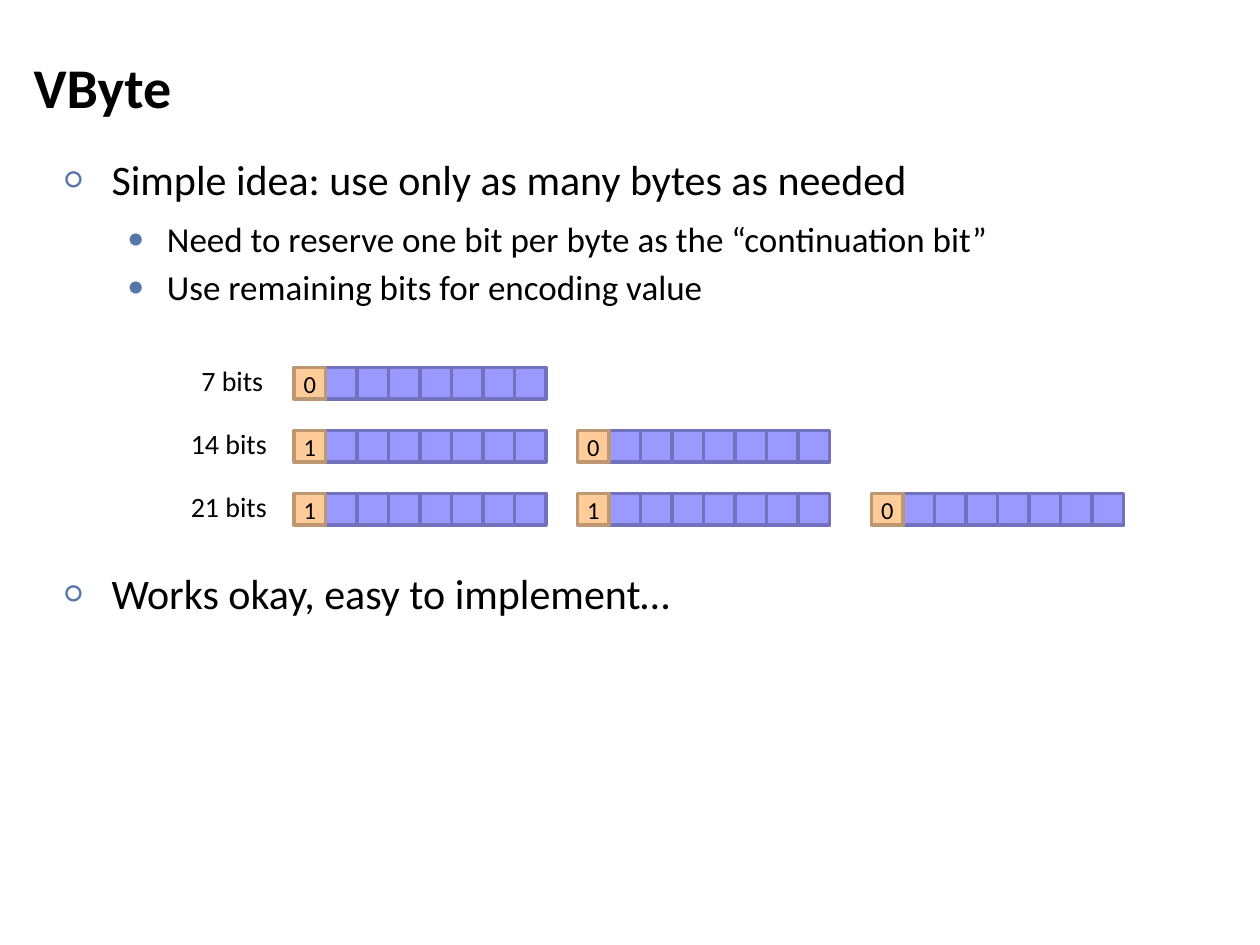
from lxml.etree import SubElement as Sub
from pptx import Presentation
from pptx.dml.color import RGBColor
from pptx.enum.shapes import MSO_SHAPE as Shape
from pptx.enum.text import MSO_ANCHOR as Anchor, PP_ALIGN as Align
from pptx.oxml.ns import qn
from pptx.util import Pt

CELL = 18
POINTS = [
    ("Simple idea: use only as many bytes as needed", 0, 0),
    ("Need to reserve one bit per byte as the “continuation bit”", 1, 7.5),
    ("Use remaining bits for encoding value", 1, 3.8),
    ("Works okay, easy to implement…", 0, 148.5),
]
LEVELS = [("○", 26.64, 24, 26.64), ("●", 58.32, 20, 22.32)]
CODES = [("7 bits", 108, "0"), ("14 bits", 102, "10"), ("21 bits", 102, "110")]
BYTES = [168, 330, 498]


def paint(color):
    """Return the colour for a hex string."""
    return RGBColor.from_string(color)


def write(para, text, size, bold=False, align=Align.LEFT, before=0):
    """Put formatted text in a paragraph."""
    para.alignment = align
    para.space_before, para.space_after = Pt(before), Pt(0)
    run = para.add_run()
    run.text = text
    font = run.font
    font.name, font.size, font.bold = "Calibri", Pt(size), bold
    font.color.rgb = paint("000000")


def mark(para, sign, left, hang):
    """Give a paragraph a hanging bullet."""
    props = para._p.get_or_add_pPr()
    props.set("marL", str(Pt(left)))
    props.set("indent", str(-Pt(hang)))
    tint = Sub(props, qn("a:buClr"))
    Sub(tint, qn("a:srgbClr"), val="5675A9")
    Sub(props, qn("a:buSzPct"), val="75000")
    Sub(props, qn("a:buFont"), typeface="Calibri")
    Sub(props, qn("a:buChar"), char=sign)


def head(slide, left, top, width, height):
    """Place the slide title."""
    title = slide.shapes.title
    title.left, title.top = Pt(left), Pt(top)
    title.width, title.height = Pt(width), Pt(height)
    title.text_frame.vertical_anchor = Anchor.MIDDLE
    write(title.text_frame.paragraphs[0], "VByte", 32, bold=True)


def body(slide, left, top, width, height):
    """Place the bulleted points."""
    box = slide.shapes.add_textbox(Pt(left), Pt(top), Pt(width), Pt(height))
    frame = box.text_frame
    frame.word_wrap = True
    for i, (text, level, gap) in enumerate(POINTS):
        para = frame.add_paragraph() if i else frame.paragraphs[0]
        sign, indent, size, hang = LEVELS[level]
        para.level = level
        mark(para, sign, indent, hang)
        write(para, text, size, before=gap)


def cell(group, left, top, fill, edge):
    """Add one bit square and return it."""
    box = group.shapes.add_shape(Shape.RECTANGLE, Pt(left), Pt(top), Pt(CELL), Pt(CELL))
    box.shadow.inherit = False
    box.fill.solid()
    box.fill.fore_color.rgb = paint(fill)
    box.line.color.rgb = paint(edge)
    box.line.width = Pt(2)
    return box


def byte(slide, left, top, flag):
    """Draw seven value bits and a leading continuation bit."""
    group = slide.shapes.add_group_shape()
    for i in range(1, 8):
        cell(group, left + i * CELL, top, "9999FF", "7171BD")
    frame = cell(group, left, top, "FFCC99", "BD9771").text_frame
    frame.margin_left = frame.margin_right = 0
    frame.margin_top = frame.margin_bottom = 0
    frame.vertical_anchor = Anchor.MIDDLE
    write(frame.paragraphs[0], flag, 14, align=Align.CENTER)


def label(slide, left, top, text):
    """Place the label of a row."""
    box = slide.shapes.add_textbox(Pt(left), Pt(top), Pt(58), Pt(26.64))
    box.text_frame.word_wrap = False
    write(box.text_frame.paragraphs[0], text, 16)


def codes(slide, top, step):
    """Draw the rows of encoded bytes."""
    for i, (text, left, flags) in enumerate(CODES):
        y = top + i * step
        for x, flag in zip(BYTES, flags):
            byte(slide, x, y, flag)
        label(slide, left, y - 6, text)


def main():
    """Build and save the slide."""
    deck = Presentation()
    deck.slide_width, deck.slide_height = Pt(720), Pt(540)
    slide = deck.slides.add_slide(deck.slide_layouts[5])
    head(slide, 12, 8.64, 684, 80.64)
    body(slide, 30, 84.24, 666, 401.76)
    codes(slide, 210, 36)
    deck.save("out.pptx")


if __name__ == "__main__":
    main()
